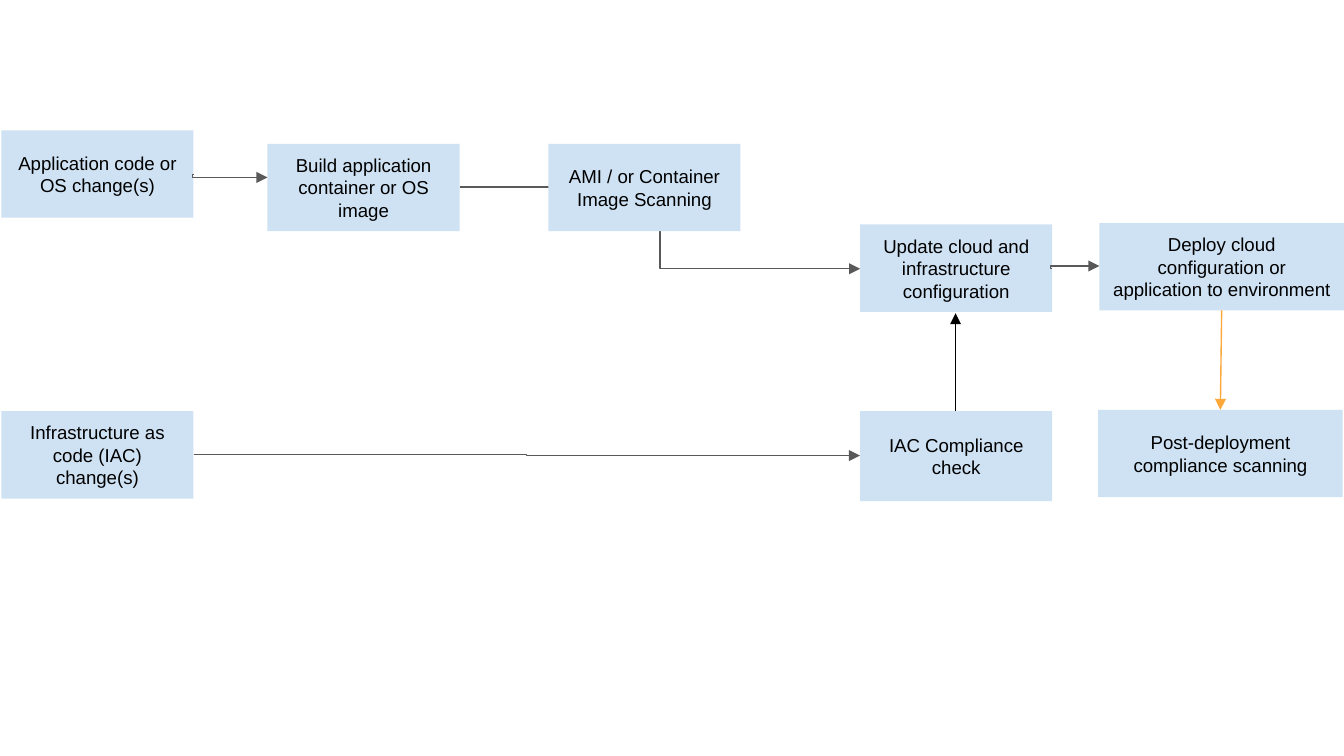
from lxml import etree
from pptx import Presentation
from pptx.dml.color import RGBColor
from pptx.enum.shapes import MSO_CONNECTOR, MSO_SHAPE
from pptx.enum.text import MSO_ANCHOR, PP_ALIGN
from pptx.oxml.ns import qn
from pptx.util import Inches, Pt

RECTANGLE = MSO_SHAPE.RECTANGLE
STRAIGHT = MSO_CONNECTOR.STRAIGHT
ELBOW = MSO_CONNECTOR.ELBOW
MIDDLE = MSO_ANCHOR.MIDDLE
CENTER = PP_ALIGN.CENTER

BOX_FILL, BLACK, GRAY, ORANGE = "CFE2F3", "000000", "595959", "FEA83A"
NARROW, WIDE, HEIGHT = 1.43, 1.82, 0.65

CHANGE_BOXES = [
    ("Build application container or OS image", 1.99, 1.07, NARROW, HEIGHT),
    ("Deploy cloud configuration or application to environment", 8.18, 1.66, WIDE, HEIGHT),
    ("Update cloud and infrastructure configuration", 6.4, 1.67, NARROW, HEIGHT),
    ("Application code or OS change(s)", 0.01, 0.97, NARROW, HEIGHT),
    ("Infrastructure as code (IAC) change(s)", 0.01, 3.06, NARROW, HEIGHT),
]
CHECK_BOXES = [
    ("IAC Compliance check", 6.4, 3.06, NARROW, 0.67),
    ("AMI / or Container Image Scanning", 4.08, 1.07, NARROW, HEIGHT),
    ("Post-deployment compliance scanning", 8.17, 3.05, WIDE, HEIGHT),
]
ELBOW_ARROWS = [
    ((1.44, 1.3), (1.99, 1.32), GRAY, -1700),
    ((1.44, 3.38), (6.4, 3.39), GRAY, 50000),
    ((3.42, 1.39), (6.4, 2), GRAY, 50000),
    ((7.83, 2), (8.18, 1.98), GRAY, -3500),
]
STRAIGHT_ARROWS = [
    ((7.11, 3.06), (7.11, 2.33), BLACK),
    ((9.09, 2.31), (9.08, 3.05), ORANGE),
]


def color(value):
    return RGBColor.from_string(value)


def add_box(slide, text, left, top, width, height):
    shape = slide.shapes.add_shape(
        RECTANGLE, Inches(left), Inches(top), Inches(width), Inches(height))
    shape.shadow.inherit = False
    shape.fill.solid()
    shape.fill.fore_color.rgb = color(BOX_FILL)
    shape.line.fill.background()
    frame = shape.text_frame
    frame.word_wrap = True
    frame.vertical_anchor = MIDDLE
    frame.margin_left = frame.margin_right = Inches(0.1)
    frame.margin_top = frame.margin_bottom = Inches(0.1)
    paragraph = frame.paragraphs[0]
    paragraph.alignment = CENTER
    run = paragraph.add_run()
    run.text = text
    run.font.name = "Arial"
    run.font.size = Pt(10)
    run.font.color.rgb = color(BLACK)


def add_arrow(slide, start, end, line_color, bend=None):
    kind = STRAIGHT if bend is None else ELBOW
    points = [Inches(value) for value in start + end]
    connector = slide.shapes.add_connector(kind, *points)
    connector.line.color.rgb = color(line_color)
    connector.line.width = Pt(0.75)
    properties = connector._element.spPr
    etree.SubElement(properties.find(qn("a:ln")), qn("a:tailEnd"), type="triangle")
    etree.SubElement(properties, qn("a:effectLst"))
    if bend is not None:
        adjustments = properties.find(qn("a:prstGeom")).find(qn("a:avLst"))
        etree.SubElement(adjustments, qn("a:gd"), name="adj1", fmla=f"val {bend}")


presentation = Presentation()
presentation.slide_width = Inches(10)
presentation.slide_height = Inches(10 * 9 / 16)
slide = presentation.slides.add_slide(presentation.slide_layouts[6])

for box in CHANGE_BOXES:
    add_box(slide, *box)
for arrow in ELBOW_ARROWS:
    add_arrow(slide, *arrow)
for box in CHECK_BOXES:
    add_box(slide, *box)
for arrow in STRAIGHT_ARROWS:
    add_arrow(slide, *arrow)

presentation.save("out.pptx")
